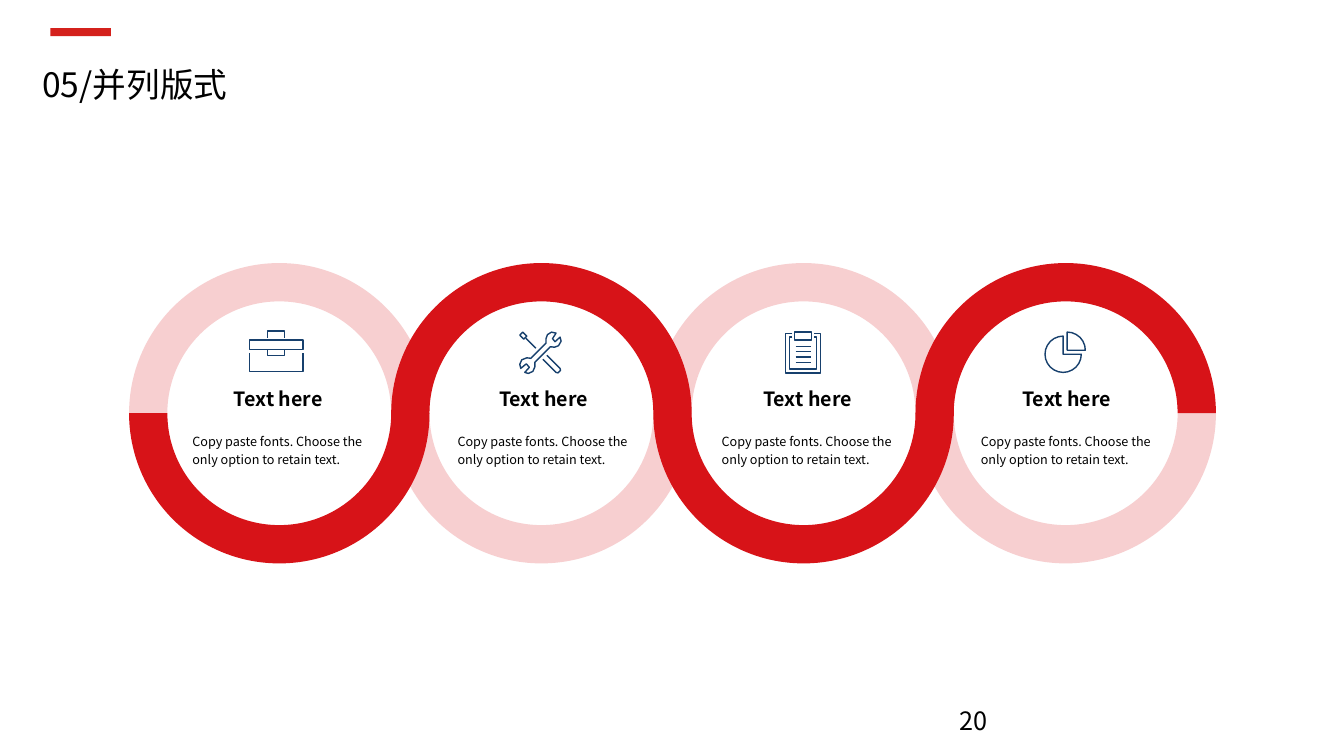
from dataclasses import dataclass
from math import cos, radians, sin

from lxml.etree import SubElement
from pptx import Presentation
from pptx.dml.color import RGBColor
from pptx.enum.shapes import MSO_SHAPE
from pptx.enum.text import MSO_ANCHOR, MSO_AUTO_SIZE, PP_ALIGN
from pptx.oxml.ns import qn
from pptx.util import Inches, Pt

COLORS = {"red": "D71318", "accent": "D4211C", "icon": "17406D", "text": "000000"}
FONT = "Noto Sans CJK SC"

# Chain of rings, in inches
FIRST_LEFT, RING_TOP, RING_STEP = 1.28, 2.61, 2.6
RING_SIZE, RING_THICKNESS = 2.98, 0.38
PALE_PERCENT = 20
HALF_TURN = 108  # 180 degrees as a block arc adjustment

Point = tuple[float, float]


@dataclass
class Stroke:
    points: list[Point]
    closed: bool = False


@dataclass
class Topic:
    text_left: float
    icon_left: float
    icon_top: float
    icon: list[Stroke]
    heading: str = "Text here"
    body: str = "Copy paste fonts. Choose the only option to retain text."


def arc(center: Point, radius: float, start: int, end: int) -> list[Point]:
    """Points along an arc, one every 15 degrees, clockwise from the right."""
    return [(center[0] + radius * cos(radians(angle)), center[1] + radius * sin(radians(angle)))
            for angle in range(start, end + 1, 15)]


def box(left: float, top: float, right: float, bottom: float) -> Stroke:
    return Stroke([(left, top), (right, top), (right, bottom), (left, bottom)], True)


# Icon strokes, in hundredths of an inch from the icon's corner
BRIEFCASE = [
    box(0.5, 9.5, 53.5, 18.5),
    Stroke([(18.5, 7), (18.5, 0.5), (35.5, 0.5), (35.5, 7)]),
    Stroke([(18.5, 19), (18.5, 25), (35.5, 25), (35.5, 19)]),
    Stroke([(0.5, 22), (0.5, 40.5), (53.5, 40.5), (53.5, 22)]),
]
TOOLS = [
    Stroke([(33, 7), (35.5, 10), (40.5, 5.5), (41.5, 9.5), (39, 14), (35, 15.5), (31, 15),
            (15.5, 30.5), (15.5, 35), (13.5, 39.5), (9, 41.5), (5.5, 40.5), (10, 35.5),
            (7, 32), (1.5, 36.5), (0.5, 32.5), (2.5, 28), (7.5, 26), (11.5, 26.5),
            (26.5, 11.5), (26.5, 7), (28, 3), (32, 0.5), (36.5, 1.5)], True),
    Stroke([(27.5, 23.5), (40.5, 36.5), (41, 38.5), (38.5, 41), (36.5, 40.5), (23.5, 27.5)]),
    Stroke([(3.5, 0.5), (7.5, 4.5), (4.5, 7.5), (0.5, 3.5)], True),
    Stroke([(6.5, 6.5), (16.5, 16.5)]),
]
CLIPBOARD = [
    Stroke([(8, 2), (1, 2), (1, 41), (36, 41), (36, 2), (29, 2)]),
    Stroke([(8, 5.5), (5, 5.5), (5, 37), (32, 37), (32, 5.5), (29, 5.5)]),
    box(10, 0.5, 27, 8.5),
    *[Stroke([(11, 14.5 + 5.4 * row), (26, 14.5 + 5.4 * row)]) for row in range(4)],
]
PIE = [
    Stroke([(18.5, 22.5), *arc((18.5, 22.5), 18, 0, 270)], True),
    Stroke([(22.5, 18.5), *arc((22.5, 18.5), 18, 270, 360)], True),
]

TOPICS = [
    Topic(1.81, 2.47, 3.28, BRIEFCASE),
    Topic(4.44, 5.15, 3.29, TOOLS),
    Topic(7.06, 7.78, 3.29, CLIPBOARD),
    Topic(9.63, 10.36, 3.29, PIE),
]


def color(name: str) -> RGBColor:
    return RGBColor.from_string(COLORS[name])


def add_filled(slide, kind: MSO_SHAPE, left: float, top: float, width: float, height: float,
               fill: str):
    shape = slide.shapes.add_shape(kind, Inches(left), Inches(top), Inches(width),
                                   Inches(height))
    shape.shadow.inherit = False
    shape.fill.solid()
    shape.fill.fore_color.rgb = color(fill)
    shape.line.fill.background()
    return shape


def add_half_ring(slide, left: float, upper: bool, pale: bool) -> None:
    shape = add_filled(slide, MSO_SHAPE.BLOCK_ARC, left, RING_TOP, RING_SIZE, RING_SIZE, "red")
    shape.adjustments[0] = HALF_TURN if upper else 0
    shape.adjustments[1] = 0 if upper else HALF_TURN
    shape.adjustments[2] = RING_THICKNESS / RING_SIZE
    if pale:
        solid = shape._element.spPr.find(qn("a:solidFill"))
        SubElement(solid[0], qn("a:alpha"), val=str(PALE_PERCENT * 1000))


def add_icon(slide, topic: Topic) -> None:
    """Build one freeform from all strokes of a topic's icon."""
    builder = None
    for stroke in topic.icon:
        start, *rest = [(Inches(topic.icon_left + x / 100), Inches(topic.icon_top + y / 100))
                        for x, y in stroke.points]
        if builder is None:
            builder = slide.shapes.build_freeform(*start, scale=1.0)
        else:
            builder.move_to(*start)
        builder.add_line_segments(rest, close=stroke.closed)
    shape = builder.convert_to_shape()
    shape.shadow.inherit = False
    shape.fill.background()
    shape.line.color.rgb = color("icon")
    shape.line.width = Pt(1)


def write(shape, text: str, size: float, bold: bool = False, wrap: bool = True,
          align: PP_ALIGN = PP_ALIGN.LEFT, anchor: MSO_ANCHOR = MSO_ANCHOR.MIDDLE,
          spacing: float = 1.0) -> None:
    frame = shape.text_frame
    frame.word_wrap = wrap
    frame.auto_size = MSO_AUTO_SIZE.NONE
    frame.vertical_anchor = anchor
    paragraph = frame.paragraphs[0]
    paragraph.alignment = align
    paragraph.line_spacing = spacing
    run = paragraph.add_run()
    run.text = text
    run.font.name = FONT
    run.font.size = Pt(size)
    run.font.bold = bold
    run.font.color.rgb = color("text")
    SubElement(run.font._element, qn("a:ea"), typeface=FONT)


def add_text_box(slide, left: float, top: float, width: float, height: float):
    return slide.shapes.add_textbox(Inches(left), Inches(top), Inches(width), Inches(height))


def main() -> None:
    presentation = Presentation()
    presentation.slide_width = Inches(13.33)
    presentation.slide_height = Inches(7.5)
    slide = presentation.slides.add_slide(presentation.slide_layouts[5])

    # Title and accent bar
    title = slide.shapes.title
    title.left, title.top = Inches(0.32), Inches(0.46)
    title.width, title.height = Inches(12.68), Inches(0.67)
    write(title, "05/并列版式", 24, spacing=1.2)
    add_filled(slide, MSO_SHAPE.RECTANGLE, 0.5, 0.28, 0.6, 0.08, "accent")

    # Rings: the red half alternates between bottom and top
    for index in range(len(TOPICS)):
        left = FIRST_LEFT + index * RING_STEP
        red_on_top = index % 2 == 1
        for upper in (True, False):
            add_half_ring(slide, left, upper, pale=upper != red_on_top)

    # Icon, heading and text inside each ring
    for topic in TOPICS:
        add_icon(slide, topic)
        write(add_text_box(slide, topic.text_left, 3.79, 1.9, 0.36), topic.heading, 14,
              bold=True, wrap=False, align=PP_ALIGN.CENTER, anchor=MSO_ANCHOR.TOP)
        write(add_text_box(slide, topic.text_left, 4.15, 1.9, 0.61), topic.body, 9, spacing=1.2)

    # Page number
    write(add_text_box(slide, 9.42, 6.95, 3, 0.4), "20", 18)

    presentation.save("out.pptx")


if __name__ == "__main__":
    main()
